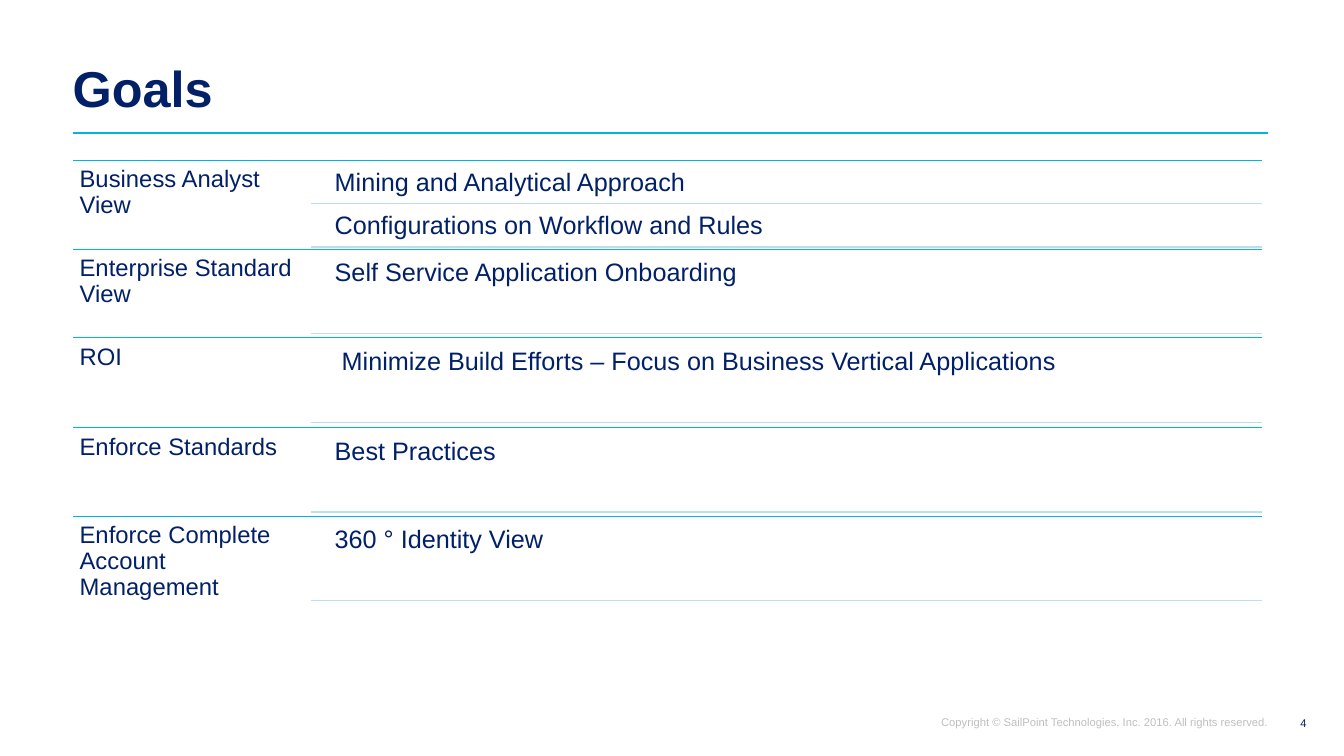
from dataclasses import dataclass

from lxml import etree
from pptx import Presentation
from pptx import util as u
from pptx.dml.color import RGBColor
from pptx.enum import shapes, text
from pptx.oxml.ns import qn
from pptx.shapes.base import BaseShape
from pptx.slide import Slide

PX = 9144
NAVY = RGBColor(0x01, 0x20, 0x68)
CYAN = RGBColor(0x00, 0xB5, 0xE2)
PALE_BLUE = RGBColor(0xBD, 0xDE, 0xF1)
GREY = RGBColor(0xBF, 0xBF, 0xBF)

LEFT, RIGHT = 72, 1252
GOAL_WIDTH = 236
DETAIL_LEFT = 325
TABLE_TOP, TABLE_HEIGHT = 159, 442
ROW_HEIGHT = 88
DETAIL_MARGIN = 4


@dataclass(frozen=True)
class Box:
    left: int
    top: int
    width: int
    height: int


@dataclass(frozen=True)
class Style:
    size: int
    color: RGBColor = NAVY
    bold: bool = False
    align: text.PP_ALIGN = text.PP_ALIGN.LEFT
    anchor: text.MSO_ANCHOR = text.MSO_ANCHOR.TOP
    inset_x: int = 7
    inset_y: int = 7
    spacing: float = 0.9


@dataclass(frozen=True)
class Goal:
    name: str
    details: tuple[str, ...]


TITLE = Style(36, bold=True, anchor=text.MSO_ANCHOR.MIDDLE, inset_x=0, inset_y=5)
GOAL = Style(17)
DETAIL = Style(18)
FOOTER = dict(size=8, align=text.PP_ALIGN.RIGHT, anchor=text.MSO_ANCHOR.MIDDLE,
              inset_x=0, inset_y=0, spacing=1.0)

GOALS = (
    Goal("Business Analyst View", ("Mining and Analytical Approach",
                                   "Configurations on Workflow and Rules")),
    Goal("Enterprise Standard View", ("Self Service Application Onboarding",)),
    Goal("ROI", (" Minimize Build Efforts – Focus on Business Vertical Applications",)),
    Goal("Enforce Standards", ("Best Practices",)),
    Goal("Enforce Complete Account Management", ("360 ° Identity View",)),
)


def px(length: int) -> u.Emu:
    return u.Emu(length * PX)


def apply(target: object, values: dict[str, object]) -> None:
    for name, value in values.items():
        setattr(target, name, value)


def write(shape: BaseShape, box: Box, words: str, style: Style) -> None:
    apply(shape, {"left": px(box.left), "top": px(box.top),
                  "width": px(box.width), "height": px(box.height)})
    frame = shape.text_frame
    apply(frame, {"word_wrap": True, "auto_size": text.MSO_AUTO_SIZE.NONE,
                  "vertical_anchor": style.anchor,
                  "margin_left": px(style.inset_x), "margin_right": px(style.inset_x),
                  "margin_top": px(style.inset_y), "margin_bottom": px(style.inset_y)})
    para = frame.paragraphs[0]
    apply(para, {"alignment": style.align, "line_spacing": style.spacing})
    span = para.add_run()
    span.text = words
    apply(span.font, {"name": "Arial", "size": u.Pt(style.size), "bold": style.bold})
    span.font.color.rgb = style.color


def add_text(page: Slide, box: Box, words: str, style: Style) -> None:
    write(page.shapes.add_textbox(0, 0, 0, 0), box, words, style)


def add_rule(page: Slide, left: int, right: int, top: int,
             color: RGBColor, points: float) -> None:
    rule = page.shapes.add_connector(
        shapes.MSO_CONNECTOR.STRAIGHT, px(left), px(top), px(right), px(top))
    rule.line.color.rgb = color
    rule.line.width = u.Pt(points)
    etree.SubElement(rule._element.spPr, qn("a:effectLst"))


def add_goal(page: Slide, goal: Goal, top: int) -> None:
    add_rule(page, LEFT, RIGHT, top, CYAN, 0.5)
    add_text(page, Box(LEFT, top, GOAL_WIDTH, ROW_HEIGHT), goal.name, GOAL)
    count = len(goal.details)
    gap = DETAIL_MARGIN // count
    height = (ROW_HEIGHT - gap * (count + 1)) // count
    for index, detail in enumerate(goal.details):
        detail_top = top + gap + index * (height + gap)
        add_text(page, Box(DETAIL_LEFT, detail_top, RIGHT - DETAIL_LEFT, height),
                 detail, DETAIL)
        add_rule(page, LEFT + GOAL_WIDTH, RIGHT, detail_top + height, PALE_BLUE, 1)


def main() -> None:
    deck = Presentation()
    apply(deck, {"slide_width": px(1333), "slide_height": px(750)})
    page = deck.slides.add_slide(deck.slide_layouts.get_by_name("Title Only"))
    write(page.shapes.title, Box(LEFT, 45, 1009, 90), "Goals", TITLE)
    add_rule(page, LEFT, 1258, 132, CYAN, 1)
    for index, goal in enumerate(GOALS):
        add_goal(page, goal, TABLE_TOP + index * TABLE_HEIGHT // len(GOALS))
    add_text(page, Box(915, 708, 343, 17),
             "Copyright © SailPoint Technologies, Inc. 2016. All rights reserved.",
             Style(color=GREY, **FOOTER))
    add_text(page, Box(1254, 699, 42, 37), "4", Style(**FOOTER))
    deck.save("out.pptx")


if __name__ == "__main__":
    main()
